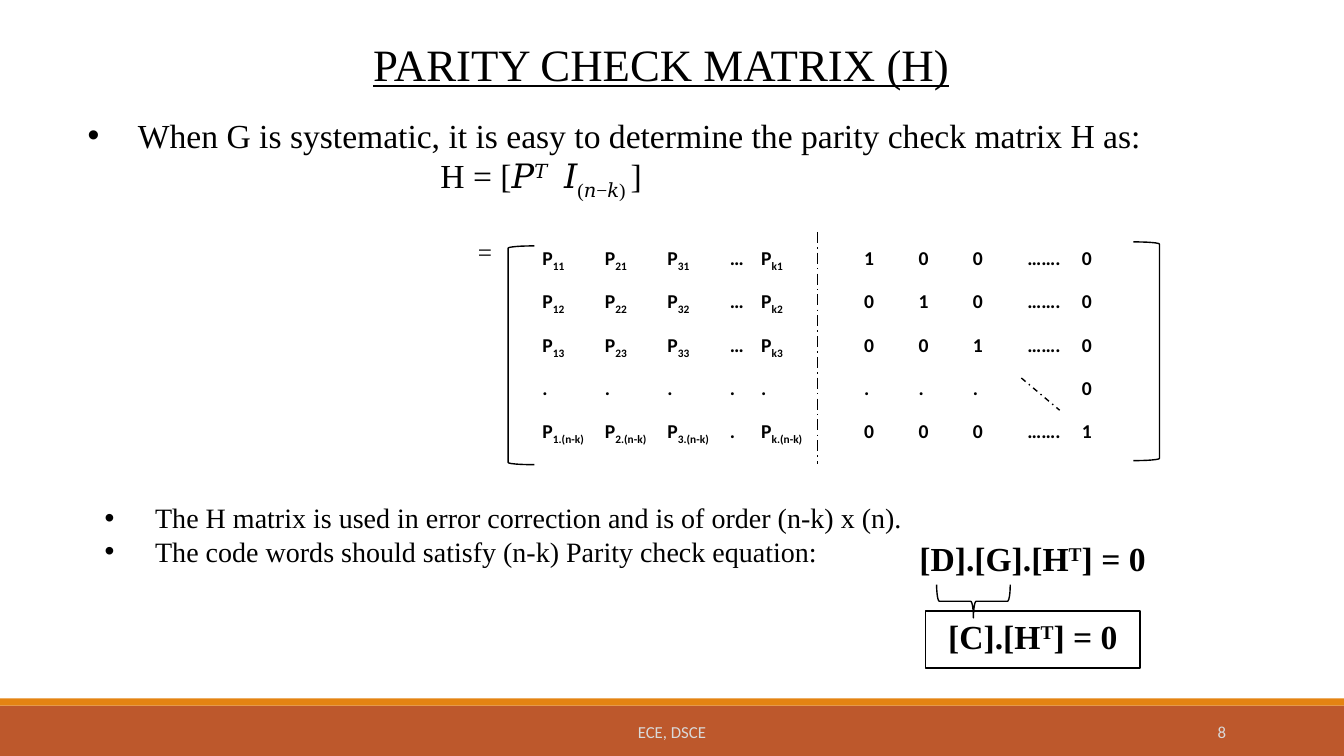
from pptx import Presentation
from pptx.dml.color import RGBColor
from pptx.enum.dml import MSO_LINE
from pptx.enum.shapes import MSO_CONNECTOR, MSO_SHAPE
from pptx.enum.text import MSO_ANCHOR, PP_ALIGN
from pptx.oxml import parse_xml
from pptx.oxml.ns import nsdecls, qn
from pptx.util import Inches, Pt

LEFT, CENTER, RIGHT = PP_ALIGN.LEFT, PP_ALIGN.CENTER, PP_ALIGN.RIGHT
TOP, MIDDLE = MSO_ANCHOR.TOP, MSO_ANCHOR.MIDDLE
SERIF, SANS = "Times New Roman", "Calibri"
BLACK, WHITE, PALE = "000000", "FFFFFF", "D9D9D9"
SUPER, SUB = 30, -25

# Content: a paragraph is a list of (text, baseline shift in percent)
TITLE = "PARITY CHECK MATRIX (H)"
INTRO = [("When G is systematic, it is easy to determine the parity check matrix H as:", 0)]
FORMULA = [("H = [𝑃", 0), ("𝑇", SUPER), ("  𝐼", 0), ("(𝑛−𝑘) ", SUB), ("]", 0)]
NOTES = [
    [("The H matrix is used in error correction and is of order (n-k) x (n).", 0)],
    [("The code words should satisfy (n-k) Parity check equation:", 0)],
]
DATA_EQUATION = [("[D].[G].[H", 0), ("T", SUPER), ("] = 0", 0)]
CODE_EQUATION = [("[C].[H", 0), ("T", SUPER), ("] = 0", 0)]

# In the parity matrix, text after "_" is a subscript
PARITY = [
    ["P_11", "P_21", "P_31", "…", "P_k1"],
    ["P_12", "P_22", "P_32", "…", "P_k2"],
    ["P_13", "P_23", "P_33", "…", "P_k3"],
    [".", ".", ".", ".", "."],
    ["P_1.(n-k)", "P_2.(n-k)", "P_3.(n-k)", ".", "P_k.(n-k)"],
]
IDENTITY = [
    ["1", "0", "0", "…….", "0"],
    ["0", "1", "0", "…….", "0"],
    ["0", "0", "1", "…….", "0"],
    [".", ".", ".", "", "0"],
    ["0", "0", "0", "…….", "1"],
]
# left edge, column widths, rows
MATRICES = [
    (8.49, [0.54] * 5, IDENTITY),
    (5.3, [0.62, 0.62, 0.62, 0.31, 0.94], PARITY),
]
MATRIX_TOP, ROW_HEIGHT = 2.41, 0.43

# Shape, left, top, width, height, rotation
BRACKETS = [
    (MSO_SHAPE.LEFT_BRACKET, 5.04, 2.44, 0.26, 2.17, 0),
    (MSO_SHAPE.RIGHT_BRACKET, 11.24, 2.4, 0.26, 2.17, 0),
    (MSO_SHAPE.LEFT_BRACE, 9.49, 5.6, 0.33, 0.73, 270),
]
# x1, y1, x2, y2, dash
DASHED_LINES = [
    (10.13, 3.75, 10.51, 4.07, MSO_LINE.DASH_DOT),
    (8.11, 2.3, 8.11, 4.6, MSO_LINE.LONG_DASH_DOT),
]
# top, height, colour
BANDS = [(7, 0.5, "BD582C"), (6.93, 0.07, "E48312")]
# left, width, text, alignment
FOOTERS = [(4.03, 5.27, "ECE, DSCE", CENTER), (10.83, 1.43, "8", RIGHT)]


def color(value):
    return RGBColor.from_string(value)


def write(paragraph, runs, fill=BLACK, align=LEFT, **font):
    paragraph.alignment = align
    for text, shift in runs:
        run = paragraph.add_run()
        run.text = text
        run.font.color.rgb = color(fill)
        for name, value in font.items():
            setattr(run.font, name, value)
        if shift:
            run._r.get_or_add_rPr().set("baseline", str(shift * 1000))


def indent(paragraph, left, bullet=False):
    properties = paragraph._p.get_or_add_pPr()
    properties.set("marL", str(Inches(left)))
    if bullet:
        properties.set("indent", str(-Inches(left)))
        properties.append(parse_xml(f'<a:buFont {nsdecls("a")} typeface="Arial"/>'))
        properties.append(parse_xml(f'<a:buChar {nsdecls("a")} char="•"/>'))


def add_text(left, top, width, height, paragraphs, anchor=TOP, **format_values):
    box = slide.shapes.add_textbox(Inches(left), Inches(top), Inches(width), Inches(height))
    frame = box.text_frame
    frame.word_wrap = True
    frame.vertical_anchor = anchor
    for index, runs in enumerate(paragraphs):
        paragraph = frame.add_paragraph() if index else frame.paragraphs[0]
        write(paragraph, runs, **format_values)
    return frame.paragraphs


def add_shape(kind, left, top, width, height, fill=None, line=None, weight=1):
    shape = slide.shapes.add_shape(kind, Inches(left), Inches(top), Inches(width), Inches(height))
    shape.shadow.inherit = False
    if fill:
        shape.fill.solid()
        shape.fill.fore_color.rgb = color(fill)
    else:
        shape.fill.background()
    if line:
        shape.line.color.rgb = color(line)
        shape.line.width = Pt(weight)
    else:
        shape.line.fill.background()
    return shape


def add_matrix(left, widths, rows):
    table = slide.shapes.add_table(
        len(rows), len(widths), Inches(left), Inches(MATRIX_TOP),
        Inches(sum(widths)), Inches(ROW_HEIGHT * len(rows))).table
    for column, width in zip(table.columns, widths):
        column.width = Inches(width)
    margins = {"margin_left": 0.08, "margin_right": 0.08, "margin_top": 0.04, "margin_bottom": 0.04}
    for row_index, row in enumerate(rows):
        table.rows[row_index].height = Inches(ROW_HEIGHT)
        for column_index, entry in enumerate(row):
            cell = table.cell(row_index, column_index)
            cell.fill.solid()
            cell.fill.fore_color.rgb = color(WHITE)
            for name, value in margins.items():
                setattr(cell, name, Inches(value))
            if entry:
                base, _, subscript = entry.partition("_")
                runs = [(base, 0)] + ([(subscript, SUB)] if subscript else [])
                write(cell.text_frame.paragraphs[0], runs, name=SANS, size=Pt(14), bold=True)


presentation = Presentation()
presentation.slide_width, presentation.slide_height = Inches(13.33), Inches(7.5)
slide = presentation.slides.add_slide(presentation.slide_layouts[5])

# Bottom bands
for top, height, fill in BANDS:
    add_shape(MSO_SHAPE.RECTANGLE, 0, top, 13.33, height, fill=fill)

# Title
title = slide.shapes.title
title.left, title.top, title.width, title.height = (Inches(v) for v in (3.7, 0.36, 5.94, 0.56))
frame = title.text_frame
frame.margin_left = frame.margin_right = frame.margin_top = frame.margin_bottom = 0
frame.vertical_anchor = TOP
write(frame.paragraphs[0], [(TITLE, 0)], name=SERIF, size=Pt(32), underline=True)

# Introduction and formula
intro, formula = add_text(0.77, 1.09, 11.8, 0.89, [INTRO, FORMULA], name=SERIF, size=Pt(24))
indent(intro, 0.5, bullet=True)
indent(formula, 3.5)

# Matrix with its brackets and dashed lines
add_text(4.64, 2.3, 0.35, 0.4, [[("=", 0)]], name=SERIF, size=Pt(18))
for matrix in MATRICES:
    add_matrix(*matrix)
for kind, left, top, width, height, rotation in BRACKETS:
    add_shape(kind, left, top, width, height, line=BLACK).rotation = rotation
for x1, y1, x2, y2, dash in DASHED_LINES:
    line = slide.shapes.add_connector(
        MSO_CONNECTOR.STRAIGHT, Inches(x1), Inches(y1), Inches(x2), Inches(y2))
    line.line.color.rgb = color(BLACK)
    line.line.width = Pt(1)
    line.line.dash_style = dash
    line._element.find(qn("p:spPr")).append(parse_xml(f'<a:effectLst {nsdecls("a")}/>'))

# Notes and parity check equations
for paragraph in add_text(0.94, 4.92, 11.45, 0.77, NOTES, name=SERIF, size=Pt(20)):
    indent(paragraph, 0.5, bullet=True)
equation_format = {"name": SERIF, "size": Pt(24), "bold": True}
add_text(9.02, 5.29, 2.49, 0.5, [DATA_EQUATION], **equation_format)
result = add_shape(MSO_SHAPE.RECTANGLE, 9.18, 6.06, 2.13, 0.57, line=BLACK, weight=1.25)
result.text_frame.vertical_anchor = TOP
write(result.text_frame.paragraphs[0], CODE_EQUATION, align=CENTER, **equation_format)

# Footer
for left, width, text, align in FOOTERS:
    add_text(left, 7.06, width, 0.4, [[(text, 0)]], anchor=MIDDLE,
             fill=PALE, align=align, name=SANS, size=Pt(12))

presentation.save("out.pptx")
